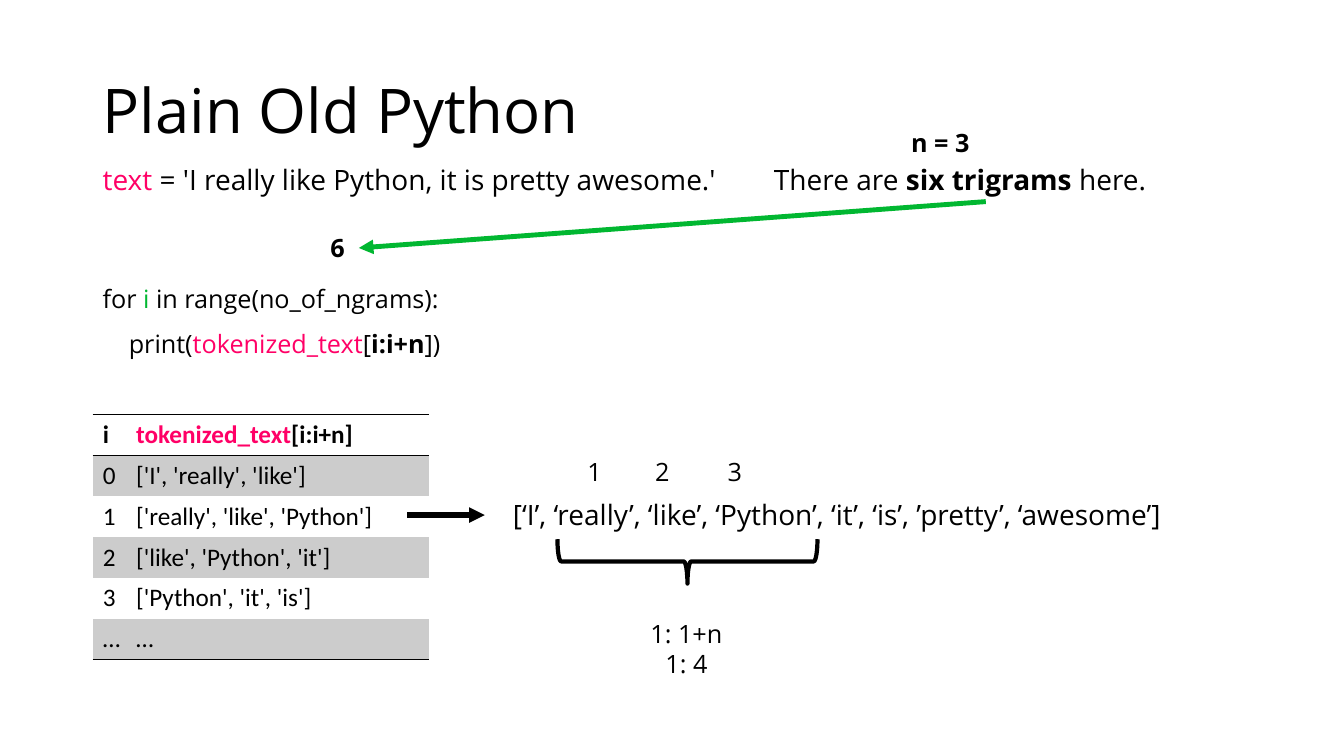
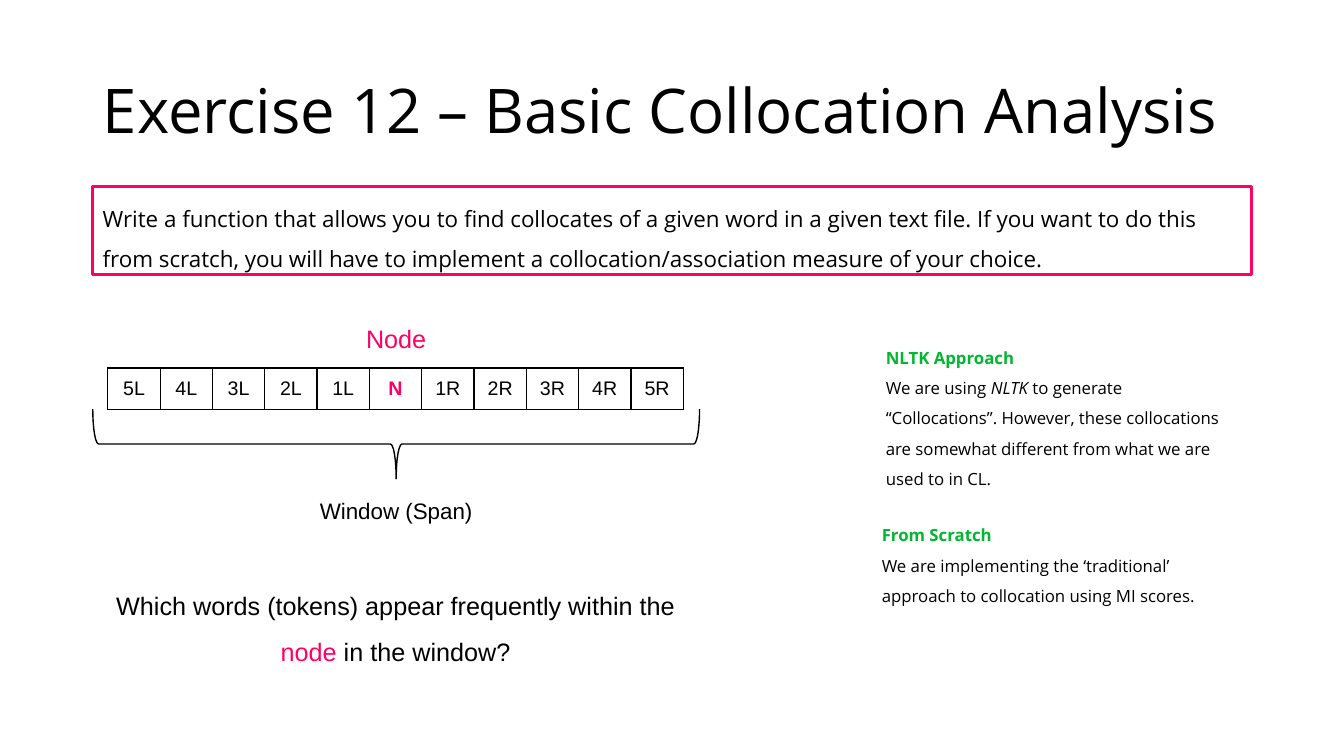
from lxml.etree import SubElement
from pptx import Presentation
from pptx.dml.color import RGBColor
from pptx.enum.shapes import MSO_CONNECTOR, MSO_SHAPE
from pptx.enum.text import MSO_ANCHOR, PP_ALIGN
from pptx.oxml import parse_xml
from pptx.oxml.ns import nsdecls, qn
from pptx.util import Pt

PX = 9144
BLACK, PINK, GREEN, GREY = "000000", "FF0066", "01B731", "CCCCCC"
SANS, ARIAL, TABLE = "Open Sans", "Arial", "Calibri"
PLAIN = "{2D5ABB26-0587-4C30-8999-92F81FD0307C}"
LEFT, MID = PP_ALIGN.LEFT, PP_ALIGN.CENTER

CODE = [
    [("for ",), ("i", GREEN), (" in range(no_of_ngrams):",)],
    [("print(",), ("tokenized_text", PINK), ("[",), ("i:i+n", BLACK, "b"), ("])",)],
]
NOTES = [
    (92, 156, 667, 44, 20, [[("text", PINK), (" = 'I really like Python, it is pretty awesome.'",)]], LEFT),
    (758, 156, 438, 44, 20, [[("There are ",), ("six trigrams", BLACK, "b"), (" here.",)]], LEFT),
    (318, 226, 38, 40, 18, [[("6", BLACK, "b")]], LEFT),
    (894, 121, 167, 40, 18, [[("n = 3", BLACK, "b")]], LEFT),
    (499, 489, 667, 44, 20, [[("[‘I’, ‘really’, ‘like’, ‘Python’, ‘it’, ‘is’, ’pretty’, ‘awesome’]",)]], LEFT),
    (552, 608, 258, 71, 18, [[("1: 1+n",)], [("1: 4",)]], MID),
]
INDEX = [("1", 590), ("2", 657), ("3", 729)]
GRAMS = [
    ("0", "['I', 'really', 'like']"),
    ("1", "['really', 'like', 'Python']"),
    ("2", "['like', 'Python', 'it']"),
    ("3", "['Python', 'it', 'is']"),
    ("…", "…"),
]
HEAD = ([("i", BLACK, "b")], [("tokenized_text", PINK, "b"), ("[i:i+n]", BLACK, "b")])

TASK = ("Write a function that allows you to find collocates of a given word in a given text file. "
        "If you want to do this from scratch, you will have to implement a "
        "collocation/association measure of your choice.")
SPAN = [f"{n}L" for n in range(5, 0, -1)] + ["N"] + [f"{n}R" for n in range(1, 6)]
LABELS = [
    (257, 488, 272, 37, 16, [[("Window (Span)",)]], 1),
    (101, 566, 583, 95, 18, [[("Which words (tokens) appear frequently within the ",),
                              ("node", PINK), (" in the window?",)]], 1.5),
    (337, 316, 112, 41, 18, [[("Node", PINK)]], 1),
]
WAYS = [
    (869, 330, 367, 158, [[("NLTK Approach", GREEN, "b")],
                          [("We are using ",), ("NLTK", BLACK, "i"),
                           (" to generate “Collocations”. However, these collocations are "
                            "somewhat different from what we are used to in CL.",)]]),
    (865, 506, 367, 98, [[("From Scratch", GREEN, "b")],
                         [("We are implementing the ‘traditional’ approach to "
                           "collocation using MI scores.",)]]),
]


def px(*nums):
    return [round(n * PX) for n in nums]


def hue(code):
    return RGBColor.from_string(code)


def write(frame, paras, size, face=SANS, align=LEFT, space=1):
    frame.word_wrap = True
    for n, runs in enumerate(paras):
        para = frame.add_paragraph() if n else frame.paragraphs[0]
        para.alignment, para.line_spacing = align, space
        para.font.name, para.font.size = face, Pt(size)
        para.font.color.rgb = hue(BLACK)
        for text, tint, style in ((*run, BLACK, "")[:3] if len(run) == 1
                                  else (*run, "")[:3] for run in runs):
            run = para.add_run()
            run.text = text
            run.font.color.rgb = hue(tint)
            if style == "b":
                run.font.bold = True
            elif style == "i":
                run.font.italic = True


def note(slide, x, y, w, h, size, paras, **look):
    box = slide.shapes.add_textbox(*px(x, y, w, h))
    write(box.text_frame, paras, size, **look)
    return box


def page(deck, text, width):
    slide = deck.slides.add_slide(deck.slide_layouts[5])
    title = slide.shapes.title
    title.left, title.top, title.width, title.height = px(92, 40, width, 145)
    write(title.text_frame, [[(text,)]], 44, space=0.9)
    title.text_frame.vertical_anchor = MSO_ANCHOR.MIDDLE
    return slide


def shape(slide, kind, x, y, w, h, tint, weight):
    item = slide.shapes.add_shape(kind, *px(x, y, w, h))
    item.shadow.inherit = False
    item.fill.background()
    item.line.color.rgb, item.line.width = hue(tint), Pt(weight)
    return item


def brace(slide, x, y, w, h, weight):
    left, top = x + (w - h) / 2, y + (h - w) / 2
    item = shape(slide, MSO_SHAPE.RIGHT_BRACE, left, top, h, w, BLACK, weight)
    item.rotation = 90


def arrow(slide, x, y, end, low, tint, weight):
    link = slide.shapes.add_connector(MSO_CONNECTOR.STRAIGHT, *px(x, y, end, low))
    link.line.color.rgb, link.line.width = hue(tint), Pt(weight)
    SubElement(link.line._get_or_add_ln(), qn("a:tailEnd"), type="triangle")
    SubElement(link.element.spPr, qn("a:effectLst"))


def grid(slide, x, y, cols, rows, high):
    frame = slide.shapes.add_table(rows, len(cols), *px(x, y, sum(cols), rows * high))
    table = frame.table
    table.first_row = table.horz_banding = False
    next(frame.element.iter(qn("a:tableStyleId"))).text = PLAIN
    for col, wide in zip(table.columns, cols):
        col.width = px(wide)[0]
    for row in table.rows:
        row.height = px(high)[0]
    return table


def fill(cell, runs, size, face, sides, tint=None, align=LEFT):
    write(cell.text_frame, [runs], size, face, align)
    if tint:
        cell.fill.solid()
        cell.fill.fore_color.rgb = hue(tint)
    else:
        cell.fill.background()
    props = cell._tc.get_or_add_tcPr()
    for n, side in enumerate(s for s in "LRTB" if s in sides):
        props.insert(n, parse_xml(
            f'<a:ln{side} {nsdecls("a")} w="12700"><a:solidFill>'
            f'<a:srgbClr val="{BLACK}"/></a:solidFill></a:ln{side}>'))


def plain(deck):
    slide = page(deck, "Plain Old Python", 655)
    for *spot, align in NOTES:
        note(slide, *spot, align=align)
    code = note(slide, 92, 261, 667, 96, 18, CODE, space=1.5)
    code.text_frame.paragraphs[1]._p.get_or_add_pPr().set("marL", str(26 * PX))
    for text, mid in INDEX:
        note(slide, mid - 20, 448, 40, 40, 18, [[(text,)]], align=MID)
    arrow(slide, 978, 200, 356, 246, GREEN, 3.5)
    arrow(slide, 404, 511, 481, 511, BLACK, 3.75)
    brace(slide, 553, 535, 258, 44, 3)
    rows = [HEAD] + [([(a,)], [(b,)]) for a, b in GRAMS]
    table = grid(slide, 92, 411, (33, 301), len(rows), 40.6)
    for r, row in enumerate(rows):
        sides = "TB" if r == 0 else "B" if r == len(rows) - 1 else ""
        for c, runs in enumerate(row):
            fill(table.cell(r, c), runs, 18, TABLE, sides, GREY if r % 2 else None)


def task(deck):
    slide = page(deck, "Exercise 12 – Basic Collocation Analysis", 1150)
    box = shape(slide, MSO_SHAPE.RECTANGLE, 92, 185, 1150, 87, PINK, 2)
    write(box.text_frame, [[(TASK,)]], 16, space=1.5)
    box.text_frame.vertical_anchor = MSO_ANCHOR.TOP
    table = grid(slide, 107, 365, [51.9] * len(SPAN), 1, 41)
    for c, text in enumerate(SPAN):
        cell = table.cell(0, c)
        run = (text, PINK, "b") if text == "N" else (text,)
        fill(cell, [run], 14, ARIAL, "LRTB", align=MID)
        cell.vertical_anchor = MSO_ANCHOR.MIDDLE
    brace(slide, 92, 406, 602, 69, 1)
    for *spot, space in LABELS:
        note(slide, *spot, face=ARIAL, align=MID, space=space)
    for x, y, w, h, paras in WAYS:
        note(slide, x, y, w, h, 12, paras, space=1.5)


def main():
    deck = Presentation()
    deck.slide_width, deck.slide_height = px(1333.33, 750)
    plain(deck)
    task(deck)
    deck.save("out.pptx")


if __name__ == "__main__":
    main()
